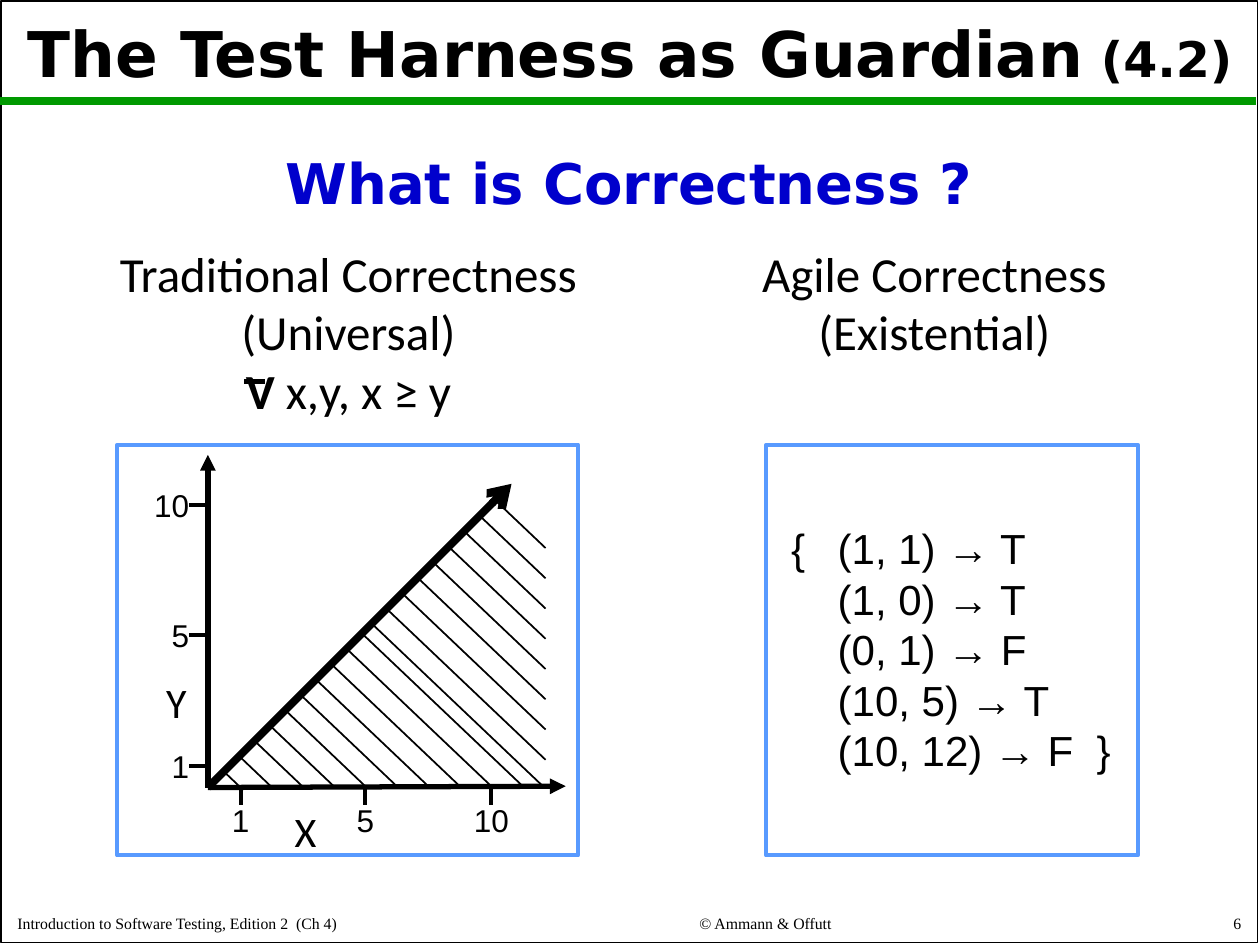
import pptx
import pptx.dml.color
import pptx.enum.shapes
import pptx.enum.text
import pptx.oxml.ns
import pptx.util
from lxml import etree

Inches = pptx.util.Inches
Pt = pptx.util.Pt
ALIGN = pptx.enum.text.PP_ALIGN
ANCHOR = pptx.enum.text.MSO_ANCHOR
qn = pptx.oxml.ns.qn

COLORS = {"ink": "000000", "rule": "009900", "question": "0000CC",
          "panel": "FFFFFF", "panel_edge": "589AFF"}

ORIGIN_X, ORIGIN_Y = 1.65, 6.25
HATCH_RIGHT = 4.33
HATCH_SLOPE = 0.95


def color(name):
    return pptx.dml.color.RGBColor.from_string(COLORS[name])


def add_run(paragraph, text, size, font, ink="ink", bold=False):
    run = paragraph.add_run()
    run.text = text
    run.font.size = Pt(size)
    run.font.name = font
    run.font.bold = bold
    run.font.color.rgb = color(ink)


def add_text(slide, box, lines, size, font, align=ALIGN.CENTER,
             anchor=ANCHOR.TOP, ink="ink", bold=False):
    """Add an unwrapped text box; each line is a list of run texts."""
    frame = slide.shapes.add_textbox(*map(Inches, box)).text_frame
    frame.word_wrap = False
    frame.vertical_anchor = anchor
    for index, texts in enumerate(lines):
        paragraph = frame.add_paragraph() if index else frame.paragraphs[0]
        paragraph.alignment = align
        for text in texts:
            add_run(paragraph, text, size, font, ink, bold)
    return frame


def add_line(slide, start, end, width, ink="ink", arrow=None):
    line = slide.shapes.add_connector(
        pptx.enum.shapes.MSO_CONNECTOR.STRAIGHT,
        *map(Inches, (*start, *end)))
    line.line.color.rgb = color(ink)
    line.line.width = Pt(width)
    if arrow:
        outline = line.line._get_or_add_ln()
        etree.SubElement(outline, qn("a:tailEnd"), type=arrow)
    etree.SubElement(line._element.spPr, qn("a:effectLst"))


def add_panel(slide, box, edge, width, fill=None):
    panel = slide.shapes.add_shape(
        pptx.enum.shapes.MSO_SHAPE.RECTANGLE, *map(Inches, box))
    panel.shadow.inherit = False
    if fill:
        panel.fill.solid()
        panel.fill.fore_color.rgb = color(fill)
    else:
        panel.fill.background()
    panel.line.color.rgb = color(edge)
    panel.line.width = Pt(width)


def add_title(slide):
    title = slide.shapes.title
    title.left, title.top, title.width, title.height = map(
        Inches, (0.05, 0.11, 9.9, 0.69))
    frame = title.text_frame
    frame.auto_size = pptx.enum.text.MSO_AUTO_SIZE.NONE
    frame.vertical_anchor = ANCHOR.MIDDLE
    heading = frame.paragraphs[0]
    heading.alignment = ALIGN.CENTER
    heading.line_spacing = 0.9
    add_run(heading, "The Test Harness as Guardian", 36, "DejaVu Sans", bold=True)
    add_run(heading, " (4.2)", 28, "DejaVu Sans", bold=True)


def add_footer(slide):
    for left, width, text, align in (
            (0.04, 4.2, "Introduction to Software Testing, Edition 2  (Ch 4)", ALIGN.LEFT),
            (4.49, 3.17, "© Ammann & Offutt", ALIGN.CENTER),
            (7.87, 2.08, "6", ALIGN.RIGHT)):
        add_text(slide, (left, 7.17, width, 0.28), [[text]], 9,
                 "Times New Roman", align, ANCHOR.BOTTOM)


def add_axes(slide):
    origin = (ORIGIN_X, ORIGIN_Y)
    add_line(slide, origin, (4.49, 6.24), 3, arrow="triangle")
    add_line(slide, origin, (ORIGIN_X, 3.61), 3, arrow="triangle")
    add_text(slide, (2.24, 6.34, 0.31, 0.36), [["X"]], 24, "Calibri")
    add_text(slide, (1.22, 5.32, 0.29, 0.36), [["Y"]], 24, "Calibri")
    for label, x, y, width in (("1", 1.91, 6.08, 0.34),
                               ("5", 2.9, 5.04, 0.34),
                               ("10", 3.9, 4.01, 0.48)):
        add_line(slide, (x, 6.23), (x, 6.39), 2.25)
        add_line(slide, (1.66, y), (1.5, y), 2.25)
        add_text(slide, (x - width / 2, 6.31, width, 0.4), [[label]], 18, "Arial")
        add_text(slide, (1.6 - width, y - 0.2, width, 0.4), [[label]], 18,
                 "Arial", ALIGN.RIGHT)
    add_line(slide, origin, (4.06, 3.84), 4.5, arrow="arrow")


def add_hatching(slide):
    """Hatch the region below x = y, from its bottom and right edges."""
    bottom_ends = [(min(1.91 + 0.25 * i, 4.32), ORIGIN_Y) for i in range(11)]
    right_ends = [(HATCH_RIGHT, 4.35 + 0.24 * i) for i in range(8)]
    diagonal_sum = ORIGIN_X + ORIGIN_Y
    for x, y in bottom_ends + right_ends:
        top_x = (diagonal_sum - y + HATCH_SLOPE * x) / (1 + HATCH_SLOPE)
        add_line(slide, (x, y), (top_x, diagonal_sum - top_x), 1)


def add_universal(slide):
    add_panel(slide, (0.93, 3.53, 3.66, 3.26), "panel_edge", 2.25, "panel")
    add_axes(slide)
    add_hatching(slide)
    heading = add_text(
        slide, (0.78, 1.88, 3.97, 1.51),
        [["Traditional Correctness"], ["(Universal)"], ["V ", "x,y, x ≥ y"]],
        28, "Calibri")
    heading.paragraphs[2].runs[0].font.bold = True
    # The bar turns the V into a "for all" sign
    add_line(slide, (1.94, 3.03), (2.1, 3.03), 3)


def add_existential(slide):
    add_text(slide, (5.88, 1.88, 3.07, 1.04),
             [["Agile Correctness"], ["(Existential)"]], 28, "Calibri")
    add_panel(slide, (6.08, 3.53, 2.95, 3.26), "panel_edge", 2.25, "panel")
    cases = add_text(
        slide, (6.18, 4.1, 2.75, 2.12),
        [["{\t(1, 1) → T"], ["(1, 0) → T"], ["(0, 1) → F"],
         ["(10, 5) → T"], ["(10, 12) → F  }"]],
        24, "Arial", ALIGN.LEFT)
    indent = Inches(0.37)
    for index, case in enumerate(cases.paragraphs):
        properties = case._p.get_or_add_pPr()
        properties.set("marL", str(indent))
        properties.set("indent", str(0 if index else -indent))


def main():
    deck = pptx.Presentation()
    deck.slide_width, deck.slide_height = Inches(10), Inches(7.5)
    slide = deck.slides.add_slide(deck.slide_layouts[5])
    add_panel(slide, (0.01, 0.01, 9.97, 7.47), "ink", 1)
    add_line(slide, (0, 0.8), (9.97, 0.8), 4.5, "rule")
    add_title(slide)
    add_footer(slide)
    add_text(slide, (2.15, 1.13, 5.69, 0.64), [["What is Correctness ?"]],
             32, "DejaVu Sans", ink="question", bold=True)
    add_existential(slide)
    add_universal(slide)
    deck.save("out.pptx")


if __name__ == "__main__":
    main()
